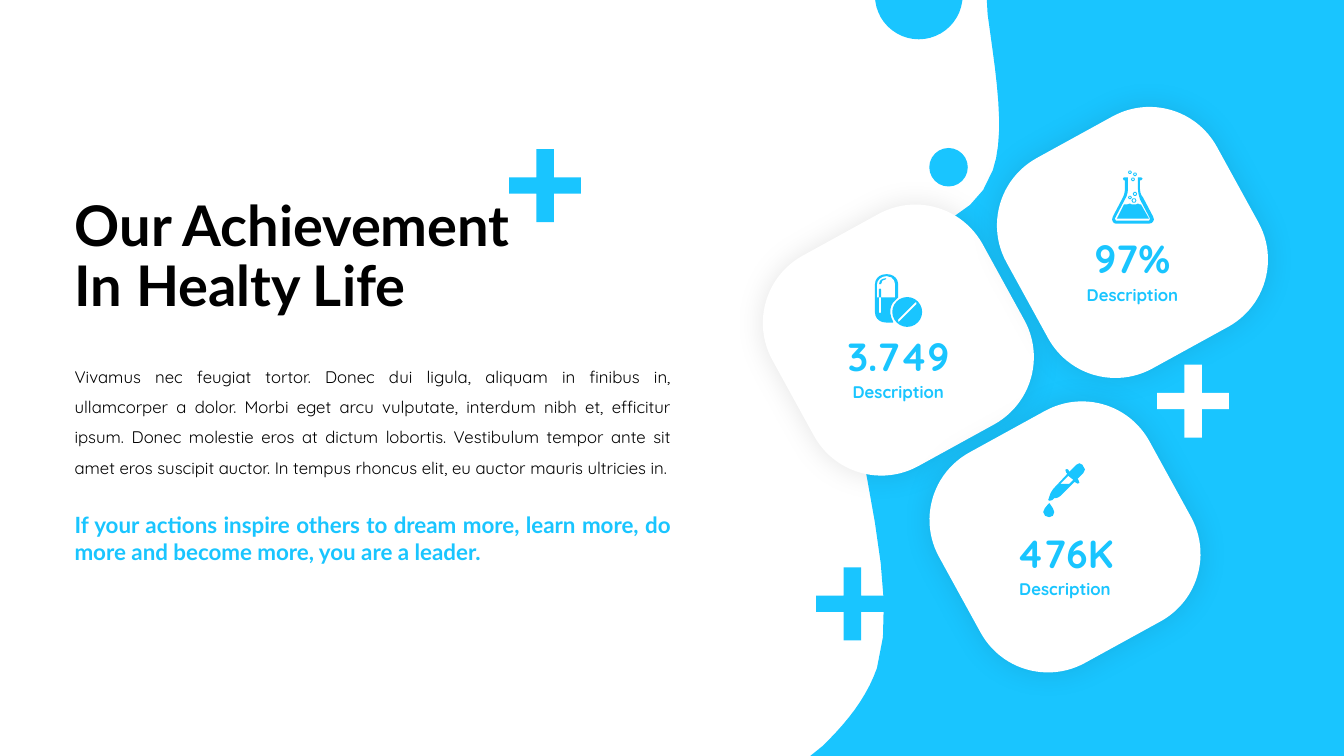
"""Build the achievement slide with three tilted figure cards."""
from dataclasses import dataclass
from math import cos, dist, sin, tau

from lxml.etree import SubElement
from pptx import Presentation
from pptx.dml.color import RGBColor as RGB
from pptx.enum.shapes import MSO_SHAPE as Kind
from pptx.enum.text import MSO_ANCHOR as Anchor, MSO_AUTO_SIZE as Auto, PP_ALIGN as Align
from pptx.oxml.ns import qn
from pptx.util import Cm, Pt


@dataclass(frozen=True)
class Theme:
    sky: RGB = RGB(0x19, 0xC5, 0xFF)
    white: RGB = RGB(255, 255, 255)
    black: RGB = RGB(0, 0, 0)
    head: str = "Lato"
    text: str = "Quicksand"
    title: int = 40
    figure: int = 28
    quote: int = 16
    body: int = 12


def disc(x, y, r, count=6):
    turns = [tau * k / count for k in range(count)]
    return [(x + r * cos(t), y + r * sin(t)) for t in turns]


T = Theme()
TITLE = "Our Achievement In Healty Life"
BODY = (
    "Vivamus nec feugiat tortor. Donec dui ligula, aliquam in finibus in, "
    "ullamcorper a dolor. Morbi eget arcu vulputate, interdum nibh et, efficitur "
    "ipsum. Donec molestie eros at dictum lobortis. Vestibulum tempor ante sit "
    "amet eros suscipit auctor. In tempus rhoncus elit, eu auctor mauris ultricies in."
)
QUOTE = (
    "If your actions inspire others to dream more, learn more, do more and "
    "become more, you are a leader."
)

WAVE = [[
    (24.87, 0), (33.87, 0), (33.87, 19.05), (20.42, 19.05), (20.73, 18.8),
    (21.34, 18.21, 21.84, 17.58, 22.1, 16.84),
    (22.86, 14.45, 20.93, 9.68, 21.41, 7.57),
    (21.92, 5.49, 24.38, 6.2, 25.02, 4.29),
    (25.35, 3.35, 25.1, 1.88, 24.89, 0.36),
]]
PILLS = [
    [(18, 48), (11, 48), (5, 48, 0, 44, 0, 38), (0, 10), (0, 4, 5, 0, 11, 0), (12, 0),
     (18, 0, 23, 4, 23, 10), (23, 23), (20, 26), (14, 31, 14, 40, 18, 47)],
    [(20, 23), (20, 10), (20, 6, 17, 2, 12, 2), (11, 2), (6, 2, 2, 6, 2, 10), (2, 23)],
    [(11, 4), (11, 5), (8, 5, 6, 7, 6, 10), (4, 10), (4, 6, 7, 4, 11, 4)],
    [(4, 23), (4, 38), (5, 39), (6, 38), (6, 23)],
    [(4, 23), (4, 15), (5, 14), (6, 15), (6, 23)],
    disc(32, 37.5, 14.8, 24),
    [(40, 28), (23, 45), (23, 47), (24, 47), (41, 30), (41, 28)],
]
DROPPER = [
    [(40, 4), (39, 2), (37, 0, 35, 0, 33, 2), (26, 9), (25, 7), (24, 6, 23, 6, 22, 7),
     (23, 10), (24, 11), (10, 26), (8, 29), (7, 31), (6, 34), (5, 37),
     (6, 38, 7, 38, 9, 37), (11, 35), (13, 35), (14, 35, 16, 34, 17, 33), (31, 19),
     (33, 20), (33, 21, 35, 21, 36, 20), (35, 17), (34, 16), (40, 10),
     (42, 8, 42, 5, 40, 4)],
    [(26, 21), (17, 21), (25, 13), (30, 17)],
    [(6, 40), (6, 40, 11, 46, 11, 49), (11, 52, 9, 54, 6, 54), (3, 54, 0, 52, 0, 49),
     (0, 46, 6, 40, 6, 40)],
]
BUBBLES = [(22, 30, 2.5), (23, 23.5, 2.2), (18, 27, 1.9),
           (23, 4, 2), (18, 2, 1.9), (21, 9, 2)]
FLASK = [
    [(41, 51), (40, 52, 39, 53, 37, 53), (4, 53), (3, 53, 1, 52, 1, 51),
     (0, 50, 0, 48, 1, 46), (11, 27), (12, 25, 13, 22, 13, 19), (13, 10), (12, 10),
     (11, 8.5), (12, 7), (16, 7), (16, 19), (16, 22, 15, 26, 13, 29), (3, 48),
     (4, 50), (37, 50), (38, 48), (28, 29), (27, 26, 26, 22, 26, 19), (26, 7),
     (29, 7), (30.5, 8.5), (29, 10), (28, 10), (28, 19), (28, 22, 29, 25, 31, 27),
     (41, 46), (42, 48, 42, 50, 41, 51)],
    [(18, 33), (20, 34), (24, 34), (26, 33), (28, 34), (29, 34), (37, 48), (5, 48),
     (12, 34), (15, 34)],
    *[disc(x, y, r - gap) for x, y, r in BUBBLES for gap in (0, 1)],
]
CARDS = [
    ("3.749", (22.64, 8.57), PILLS, (22.05, 6.91)),
    ("476K", (26.84, 13.53), DROPPER, (26.29, 11.66)),
    ("97%", (28.54, 6.11), FLASK, (28.02, 4.29)),
]
LABEL = "Description"
SIDE = 6.05
PLUSES = [(29.16, 9.19, T.white), (20.57, 14.3, T.sky), (12.83, 3.76, T.sky)]
DOTS = [(23.42, 3.73, 0.97), (22.05, -1.22, 2.21)]


def flat(run, unit):
    pts = [run[0]]
    for step in run[1:]:
        if len(step) == 2:
            pts.append(step)
            continue
        a, b, c, d = pts[-1], step[:2], step[2:4], step[4:]
        count = max(2, min(10, round(12 * unit * dist(a, d))))
        for k in range(1, count + 1):
            t = k / count
            u = 1 - t
            pts.append(tuple(
                u**3 * a[i] + 3 * u * u * t * b[i] + 3 * u * t * t * c[i] + t**3 * d[i]
                for i in (0, 1)))
    return pts


def paint(shape, fill):
    shape.fill.solid()
    shape.fill.fore_color.rgb = fill
    shape.line.fill.background()
    shape.shadow.inherit = False
    return shape


def draw(shapes, runs, fill, left=0, top=0, unit=1):
    pen = None
    for run in runs:
        pts = flat(run, unit)
        first, *rest = [(Cm(left + x * unit), Cm(top + y * unit)) for x, y in pts]
        if pen is None:
            pen = shapes.build_freeform(*first, scale=1.0)
        else:
            pen.move_to(*first)
        pen.add_line_segments(rest, close=True)
    return paint(pen.convert_to_shape(), fill)


def style(box, text, font, size, color, bold, align, space=None, anchor=Anchor.MIDDLE):
    frame = box.text_frame
    frame.text = text
    frame.word_wrap = True
    frame.auto_size = Auto.NONE
    frame.vertical_anchor = anchor
    para = frame.paragraphs[0]
    para.alignment = align
    para.line_spacing = space
    para.font.name, para.font.size = font, Pt(size)
    para.font.bold, para.font.color.rgb = bold, color


def glow(shape):
    fx = shape._element.spPr.find(qn("a:effectLst"))
    shade = SubElement(fx, qn("a:outerShdw"), blurRad=str(Pt(20)), dist="0",
                       algn="ctr", rotWithShape="0")
    tint = SubElement(shade, qn("a:srgbClr"), val="000000")
    SubElement(tint, qn("a:alpha"), val="10000")


def card(shapes, value, spot, icon, place):
    x, y = spot
    tile = shapes.add_shape(Kind.ROUNDED_RECTANGLE, Cm(x - SIDE / 2), Cm(y - SIDE / 2),
                            Cm(SIDE), Cm(SIDE))
    tile.adjustments[0] = 0.32
    tile.rotation = -28.8
    glow(paint(tile, T.white))
    for text, size, drop, wide, high in ((LABEL, T.body, 1.31, 3.2, 0.76),
                                         (value, T.figure, 0.4, 3.84, 1.45)):
        box = shapes.add_textbox(Cm(x - wide / 2), Cm(y + drop - high / 2),
                                 Cm(wide), Cm(high))
        style(box, text, T.text, size, T.sky, True, Align.CENTER)
    draw(shapes, icon, T.sky, *place, unit=0.0254)


def plus(shapes, left, top, fill):
    a, b, c, d = 0, 0.69, 1.13, 1.81
    e, f, g, h = 0, 0.71, 1.12, 1.84
    run = [(b, e), (c, e), (c, f), (d, f), (d, g), (c, g),
           (c, h), (b, h), (b, g), (a, g), (a, f), (b, f)]
    draw(shapes, [run], fill, left, top)


def main():
    deck = Presentation()
    deck.slide_width, deck.slide_height = Cm(33.87), Cm(19.05)
    slide = deck.slides.add_slide(deck.slide_layouts[5])
    shapes = slide.shapes
    draw(shapes, WAVE, T.sky)
    for item in CARDS:
        card(shapes, *item)
    for item in PLUSES:
        plus(shapes, *item)
    for x, y, size in DOTS:
        paint(shapes.add_shape(Kind.OVAL, Cm(x), Cm(y), Cm(size), Cm(size)), T.sky)

    head = shapes.title
    head.left, head.top, head.width, head.height = Cm(1.63), Cm(4.67), Cm(12.9), Cm(3.68)
    style(head, TITLE, T.head, T.title, T.black, True, Align.LEFT, 0.9)
    body = shapes.add_textbox(Cm(1.63), Cm(8.86), Cm(15.54), Cm(3.33))
    style(body, BODY, T.text, T.body, T.black, False, Align.JUSTIFY, 1.5, Anchor.TOP)
    quote = shapes.add_textbox(Cm(1.63), Cm(12.75), Cm(15.54), Cm(1.63))
    style(quote, QUOTE, T.head, T.quote, T.sky, True, Align.JUSTIFY, anchor=Anchor.TOP)
    deck.save("out.pptx")


if __name__ == "__main__":
    main()
